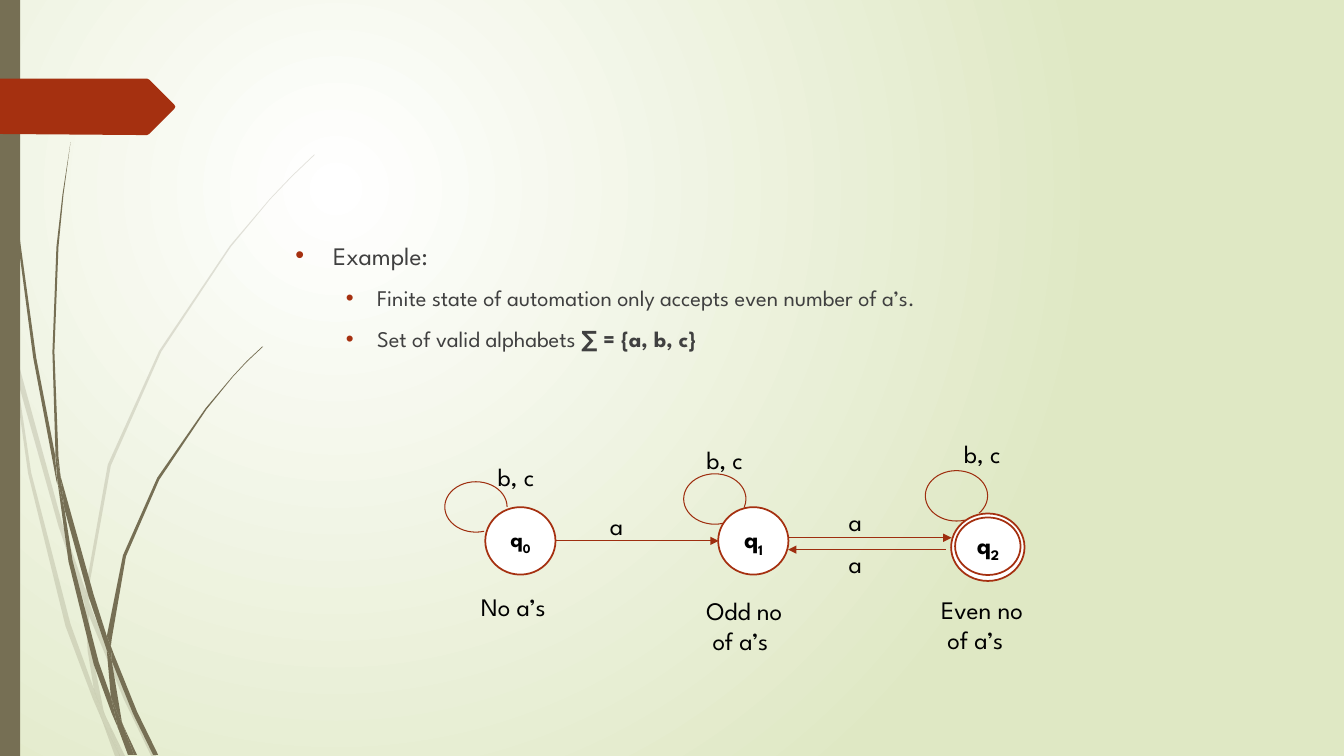
"""Build a slide showing a finite automaton that accepts an even number of a's."""
from typing import NamedTuple

from lxml.etree import SubElement
from pptx import Presentation
from pptx.dml.color import RGBColor
from pptx.enum.shapes import MSO_CONNECTOR, MSO_SHAPE
from pptx.enum.text import MSO_ANCHOR, MSO_AUTO_SIZE, PP_ALIGN
from pptx.oxml import parse_xml
from pptx.oxml.ns import nsdecls, qn
from pptx.util import Cm, Pt

FONT = "League Spartan"
OLIVE = RGBColor(0x76, 0x6F, 0x54)
RUST = RGBColor(0xA5, 0x30, 0x10)
DARK_RUST = RGBColor(0x9E, 0x2E, 0x0F)
GRAY = RGBColor(0x40, 0x40, 0x40)
WHITE = RGBColor(0xFF, 0xFF, 0xFF)
BLACK = RGBColor(0, 0, 0)
OUTLINE_UNIT = Cm(0.0254)

Outline = list[tuple[int, int]]


class State(NamedTuple):
    x: float
    y: float
    w: float
    h: float
    index: str = ""
    size: int = 18


class Arrow(NamedTuple):
    y: float
    start: float
    end: float


class Loop(NamedTuple):
    x: float
    y: float
    end: float


class Label(NamedTuple):
    x: float
    y: float
    w: float
    text: str


PALE_STEMS: list[Outline] = [
    [(11, 350), (9, 322), (0, 282), (0, 299), (10, 344)],
    [(58, 522), (84, 599), (85, 586), (62, 520), (14, 345), (17, 376)],
    [(92, 607), (88, 596), (88, 610), (123, 694), (150, 750), (155, 750), (127, 692)],
    [(119, 750), (124, 750), (105, 711)],
    [(93, 683), (70, 619), (31, 469), (17, 376), (11, 350), (28, 470), (65, 621), (92, 693),
     (101, 714), (99, 707)],
    [(84, 599), (87, 646), (93, 683), (96, 692), (105, 711), (103, 706), (91, 646), (88, 610),
     (88, 608)],
    [(88, 584), (110, 462), (160, 349), (229, 245), (268, 198), (290, 175), (312, 154), (312, 153),
     (289, 175), (268, 197), (228, 244), (158, 348), (107, 461), (85, 584), (85, 586), (88, 596)],
    [(101, 714), (114, 750), (119, 750)],
    [(88, 608), (88, 610), (88, 596), (85, 586), (84, 599)],
    [(96, 692), (93, 683), (99, 707), (101, 714), (119, 750), (105, 711)],
]
DARK_STEMS: list[Outline] = [
    [(7, 110), (17, 233), (33, 355), (56, 477), (57, 481), (55, 457), (55, 453), (36, 355),
     (19, 232), (8, 109), (5, 48), (4, 0), (3, 0), (4, 48)],
    [(88, 592), (106, 645), (106, 633), (106, 631), (93, 590), (60, 472), (64, 505)],
    [(113, 649), (110, 641), (111, 656), (132, 708), (152, 749), (157, 749), (136, 706)],
    [(110, 691), (98, 657), (72, 556), (64, 505), (57, 477), (68, 557), (93, 659), (111, 708),
     (117, 722), (116, 717)],
    [(60, 472), (58, 453), (54, 349), (58, 245), (63, 193), (70, 141), (62, 193), (56, 245),
     (52, 349), (55, 449)],
    [(133, 749), (136, 749), (122, 719)],
    [(57, 477), (64, 505), (60, 472), (55, 449), (55, 453)],
    [(111, 633), (125, 552), (158, 476), (205, 406), (231, 374), (245, 359), (261, 344), (260, 344),
     (245, 358), (231, 373), (204, 405), (156, 474), (122, 551), (106, 631), (110, 641)],
    [(117, 722), (127, 749), (131, 749)],
    [(106, 645), (110, 691), (116, 706), (122, 719), (121, 716), (111, 656), (109, 651)],
    [(106, 645), (109, 651), (111, 656), (110, 641), (106, 631), (106, 633)],
    [(116, 706), (110, 691), (116, 717), (117, 722), (130, 749), (133, 749), (122, 719)],
]
TAG: Outline = [(173, 108), (148, 133), (146, 134), (136, 134), (0, 133), (0, 78), (136, 78),
                (146, 78), (148, 79), (173, 104), (174, 106)]
STATES = [
    State(12.23, 12.78, 1.77, 1.7, "0", 16),
    State(18.1, 12.78, 1.77, 1.7, "1"),
    State(23.97, 12.94, 1.85, 1.7),
    State(24.07, 13.04, 1.65, 1.45, "2"),
]
ARROWS = [Arrow(13.63, 14, 18.11), Arrow(13.55, 19.86, 23.98), Arrow(13.85, 23.83, 19.86)]
LOOPS = [Loop(11.21, 12.14, 0), Loop(17.23, 11.94, 9.7), Loop(23.32, 11.86, 22.53)]
LABELS = [
    Label(12.29, 11.51, 1.73, "b, c"),
    Label(17.55, 11.07, 1.73, "b, c"),
    Label(24.04, 10.92, 1.73, "b, c"),
    Label(15.12, 12.73, 0.94, "a"),
    Label(21.14, 12.64, 0.94, "a"),
    Label(21.14, 13.69, 0.94, "a"),
    Label(11.87, 14.77, 2.49, "No a’s"),
    Label(17.55, 14.87, 3.12, "Odd no\n of a’s"),
    Label(23.47, 14.85, 3.2, "Even no\n of a’s"),
]
BULLETS = [
    (0, "Example:", ""),
    (1, "Finite state of automation only accepts even number of a’s.", ""),
    (1, "Set of valid alphabets ", "∑ = {a, b, c}"),
]
BACKGROUND = f"""<p:bg {nsdecls("p", "a")}><p:bgPr><a:gradFill rotWithShape="1"><a:gsLst>
<a:gs pos="0"><a:srgbClr val="FFFFFF"/></a:gs><a:gs pos="100000"><a:srgbClr val="DFE8C4"/></a:gs>
</a:gsLst><a:path path="circle"><a:fillToRect l="50000" t="50000" r="100000" b="100000"/></a:path>
</a:gradFill><a:effectLst/></p:bgPr></p:bg>"""


def paint(sp, fill: RGBColor) -> None:
    sp.shadow.inherit = False
    sp.fill.solid()
    sp.fill.fore_color.rgb = fill
    sp.line.fill.background()


def set_line(sp, color: RGBColor, width: float) -> None:
    sp.line.color.rgb, sp.line.width = color, Pt(width)


def set_font(p, size: int, color: RGBColor) -> None:
    p.font.name, p.font.size, p.font.color.rgb = FONT, Pt(size), color


def add_outline(s, outline: Outline, fill: RGBColor, opacity: int = 100) -> None:
    builder = s.shapes.build_freeform(*outline[0], scale=OUTLINE_UNIT)
    builder.add_line_segments(outline[1:])
    sp = builder.convert_to_shape()
    paint(sp, fill)
    if opacity < 100:
        color = sp.element.spPr.find(qn("a:solidFill"))[0]
        SubElement(color, qn("a:alpha"), val=str(opacity * 1000))


def add_state(s, state: State) -> None:
    sp = s.shapes.add_shape(MSO_SHAPE.OVAL, *map(Cm, state[:4]))
    paint(sp, WHITE)
    set_line(sp, RUST, 1.25)
    if state.index:
        tf = sp.text_frame
        tf.word_wrap, tf.vertical_anchor = False, MSO_ANCHOR.MIDDLE
        p = tf.paragraphs[0]
        p.alignment, p.font.bold = PP_ALIGN.CENTER, True
        set_font(p, state.size, BLACK)
        p.add_run().text = "q"
        r = p.add_run()
        r.text = state.index
        r.font._element.set("baseline", "-25000")


def add_arrow(s, arrow: Arrow) -> None:
    y = Cm(arrow.y)
    cxn = s.shapes.add_connector(MSO_CONNECTOR.STRAIGHT, Cm(arrow.start), y, Cm(arrow.end), y)
    set_line(cxn, DARK_RUST, 0.75)
    SubElement(cxn.line._get_or_add_ln(), qn("a:tailEnd"), type="triangle")
    SubElement(cxn._element.spPr, qn("a:effectLst"))


def add_loop(s, loop: Loop) -> None:
    sp = s.shapes.add_shape(MSO_SHAPE.ARC, Cm(loop.x), Cm(loop.y), Cm(1.57), Cm(1.27))
    sp.shadow.inherit = False
    sp.adjustments[0], sp.adjustments[1] = 42.94, loop.end
    sp.fill.background()
    set_line(sp, DARK_RUST, 0.75)


def add_label(s, label: Label) -> None:
    height = Cm(1.02 + 0.78 * label.text.count("\n"))
    tf = s.shapes.add_textbox(Cm(label.x), Cm(label.y), Cm(label.w), height).text_frame
    tf.word_wrap, tf.auto_size = False, MSO_AUTO_SIZE.SHAPE_TO_FIT_TEXT
    tf.text = label.text
    for p in tf.paragraphs:
        set_font(p, 18, BLACK)


def fill_body(body) -> None:
    body.left, body.top, body.width, body.height = map(Cm, (7.19, 5.92, 24.77, 10.49))
    tf = body.text_frame
    for i, (level, text, bold_text) in enumerate(BULLETS):
        p = tf.add_paragraph() if i else tf.paragraphs[0]
        p.level, p.space_before = level, Pt(10)
        set_font(p, 16 if level else 18, GRAY)
        p.add_run().text = text
        if bold_text:
            r = p.add_run()
            r.text, r.font.bold = bold_text, True
        pPr = p._p.get_or_add_pPr()
        margin, indent = (2.06, -0.79) if level else (0.95, -0.95)
        pPr.set("marL", str(Cm(margin)))
        pPr.set("indent", str(Cm(indent)))
        for tag, content in (("buClr", f'><a:srgbClr val="{RUST}"/></a:buClr>'),
                             ("buFont", ' typeface="Arial"/>'), ("buChar", ' char="•"/>')):
            pPr.find(qn("a:defRPr")).addprevious(parse_xml(f'<a:{tag} {nsdecls("a")}{content}'))


def main() -> None:
    prs = Presentation()
    prs.slide_width, prs.slide_height = Cm(33.87), Cm(19.05)
    s = prs.slides.add_slide(prs.slide_layouts[1])
    title = s.shapes.title.element
    title.getparent().remove(title)
    s.element.cSld.insert(0, parse_xml(BACKGROUND))
    for outline in PALE_STEMS:
        add_outline(s, outline, OLIVE, 20)
    for outline in DARK_STEMS:
        add_outline(s, outline, OLIVE)
    paint(s.shapes.add_shape(MSO_SHAPE.RECTANGLE, 0, 0, Cm(0.51), prs.slide_height), OLIVE)
    add_outline(s, TAG, RUST)
    fill_body(s.placeholders[1])
    for draw, items in ((add_state, STATES), (add_arrow, ARROWS),
                        (add_loop, LOOPS), (add_label, LABELS)):
        for item in items:
            draw(s, item)
    prs.save("out.pptx")


if __name__ == "__main__":
    main()
